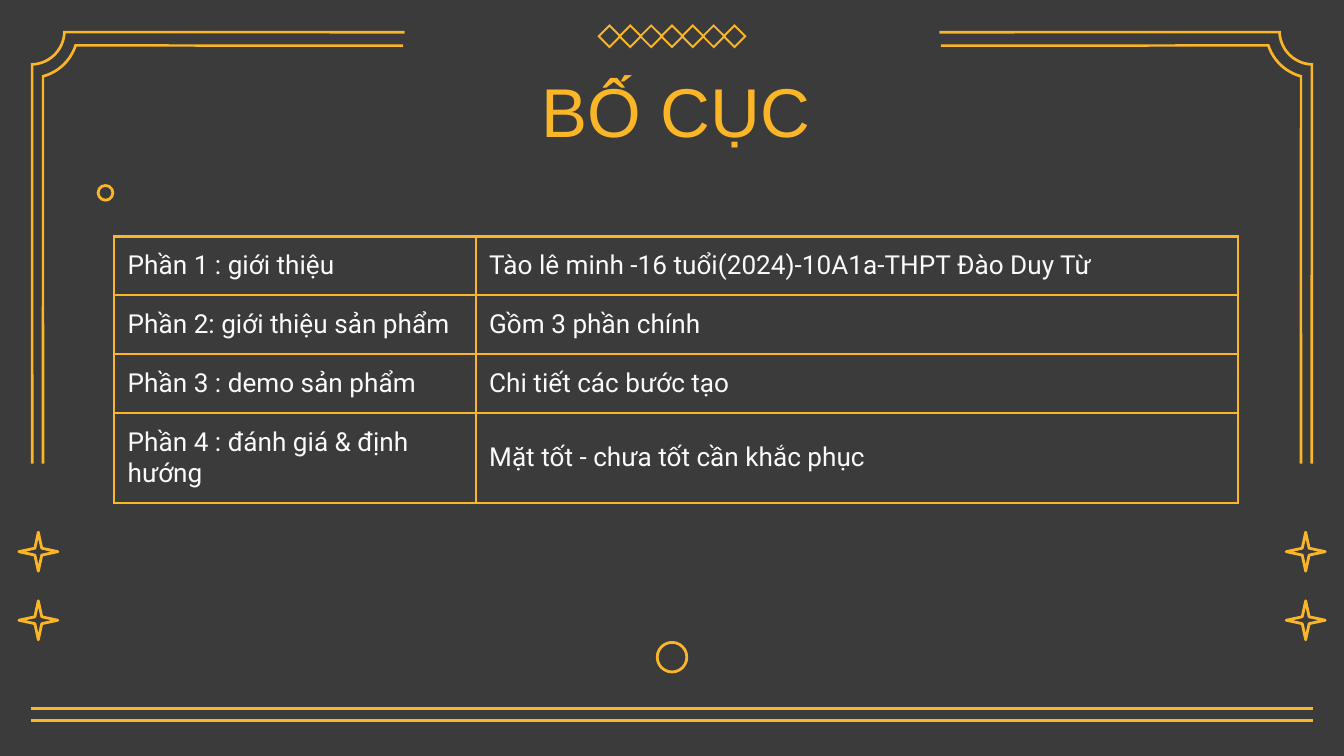
from math import cos, radians, sin

from lxml import etree
from pptx import Presentation
from pptx import util as u
from pptx.dml.color import RGBColor
from pptx.enum import shapes, text
from pptx.oxml import ns

GOLD, DARK, WHITE = "FAB627", "3B3B3B", "FAFAFA"
WIDTH = 10
HEIGHT = WIDTH * 9 / 16
EDGE = 0.23
ROWS = [
    ("Phần 1 : giới thiệu", "Tào lê minh -16 tuổi(2024)-10A1a-THPT Đào Duy Từ"),
    ("Phần 2: giới thiệu sản phẩm", "Gồm 3 phần chính"),
    ("Phần 3 : demo sản phẩm", "Chi tiết các bước tạo"),
    ("Phần 4 : đánh giá & định hướng", "Mặt tốt - chưa tốt cần khắc phục"),
]


def color(code):
    return RGBColor.from_string(code)


def inches(*values):
    return [u.Inches(v) for v in values]


def write(frame, words, size, font, ink, align=None, after=None):
    frame.word_wrap = True
    para = frame.paragraphs[0]
    para.alignment = align
    if after is not None:
        para.space_after = u.Pt(after)
    run = para.add_run()
    run.text = words
    run.font.size = u.Pt(size)
    run.font.name = font
    run.font.color.rgb = color(ink)


def arc(radius, start, end, steps=12):
    """Points on a circle around the frame's top left corner."""
    turns = [radians(start + (end - start) * i / steps) for i in range(steps + 1)]
    return [(EDGE + radius * cos(t), EDGE + radius * sin(t)) for t in turns]


def band(near, top, far, outer, inner):
    """Outline of one thin frame line; outer and inner are arc settings."""
    thick, foot = 0.02, 3.45
    return ([(near, foot)] + arc(*outer) + [(far, top), (far, top + thick)]
            + arc(*inner)[::-1] + [(near + thick, foot)])


def rhomb(x, y, half):
    return [(x + half, y), (x, y + half), (x - half, y), (x, y - half)]


class Deco:
    def __init__(self, slide, line=1.5):
        self.slide, self.line = slide, line
        self.items = slide.shapes

    def rule(self, x1, y1, x2, y2):
        item = self.items.add_connector(
            shapes.MSO_CONNECTOR.STRAIGHT, *inches(x1, y1, x2, y2))
        item.line.color.rgb = color(GOLD)
        item.line.width = u.Pt(self.line)
        etree.SubElement(item._element.spPr, ns.qn("a:effectLst"))

    def shape(self, kind, x, y, size):
        item = self.items.add_shape(kind, *inches(x, y, size, size))
        item.shadow.inherit = False
        item.fill.solid()
        item.fill.fore_color.rgb = color(DARK)
        item.line.color.rgb = color(GOLD)
        item.line.width = u.Pt(self.line)
        return item

    def outline(self, *loops):
        """Gold area; loops after the first are holes."""
        loops = [[inches(*point) for point in loop] for loop in loops]
        pen = self.items.build_freeform(*loops[0][0])
        for i, loop in enumerate(loops):
            if i:
                pen.move_to(*loop[0])
            pen.add_line_segments(loop[1:], close=True)
        item = pen.convert_to_shape()
        item.shadow.inherit = False
        item.fill.solid()
        item.fill.fore_color.rgb = color(GOLD)
        item.line.fill.background()

    def title(self, words, x, y, w, h):
        frame = self.items.add_textbox(*inches(x, y, w, h)).text_frame
        frame.margin_left = frame.margin_right = u.Inches(0.1)
        frame.margin_top = frame.margin_bottom = u.Inches(0.1)
        frame.vertical_anchor = text.MSO_ANCHOR.TOP
        write(frame, words, 37, "Arial", GOLD, align=text.PP_ALIGN.CENTER)

    def border(self, cell):
        props = cell._tc.get_or_add_tcPr()
        for i, side in enumerate(("lnL", "lnR", "lnT", "lnB")):
            line = etree.Element(ns.qn("a:" + side), w=str(u.Pt(self.line)))
            fill = etree.SubElement(line, ns.qn("a:solidFill"))
            etree.SubElement(fill, ns.qn("a:srgbClr"), val=GOLD)
            props.insert(i, line)

    def table(self, rows, x, y, widths, heights):
        grid = self.items.add_table(
            len(rows), len(widths),
            *inches(x, y, sum(widths), sum(heights))).table
        grid.first_row = grid.horz_banding = False
        for col, width in zip(grid.columns, widths):
            col.width = u.Inches(width)
        for r, (row, height) in enumerate(zip(rows, heights)):
            grid.rows[r].height = u.Inches(height)
            for c, words in enumerate(row):
                cell = grid.cell(r, c)
                cell.margin_left = cell.margin_right = u.Inches(0.1)
                cell.margin_top = cell.margin_bottom = u.Inches(0.1)
                cell.vertical_anchor = text.MSO_ANCHOR.MIDDLE
                cell.fill.solid()
                cell.fill.fore_color.rgb = color(DARK)
                self.border(cell)
                write(cell.text_frame, words, 14, "Roboto", WHITE,
                      after=16 if c else None)


def main():
    deck = Presentation()
    deck.slide_width, deck.slide_height = inches(WIDTH, HEIGHT)
    slide = deck.slides.add_slide(deck.slide_layouts[6])
    slide.background.fill.solid()
    slide.background.fill.fore_color.rgb = color(DARK)
    deco = Deco(slide)

    for y in (5.27, 5.36):
        deco.rule(EDGE, y, WIDTH - EDGE, y)

    bands = [
        band(EDGE, EDGE, 3.01, (0.24, 90, 0), (0.26, 86, 4)),
        band(0.31, 0.33, 3, (0.34, 76, 17), (0.36, 74, 19)),
    ]
    for loop in bands:
        deco.outline(loop)
        deco.outline([(WIDTH - x, y) for x, y in loop])

    for i in range(-3, 4):
        mid = WIDTH / 2 + i * 0.155
        deco.outline(rhomb(mid, 0.27, 0.09), rhomb(mid, 0.27, 0.07))

    for y in (3.96, 4.47):
        for x in (0.14, 9.57):
            star = deco.shape(shapes.MSO_SHAPE.STAR_4_POINT, x, y, 0.29)
            star.adjustments[0] = 0.125

    deco.title("BỐ CỤC", 0.81, 0.41, 8.44, 0.63)
    deco.table(ROWS, 0.85, 1.76, (2.69, 5.67), (0.42, 0.44, 0.44, 0.44))
    deco.shape(shapes.MSO_SHAPE.OVAL, 0.73, 1.38, 0.11)
    deco.shape(shapes.MSO_SHAPE.OVAL, 4.89, 4.78, 0.22)
    deck.save("out.pptx")


if __name__ == "__main__":
    main()
